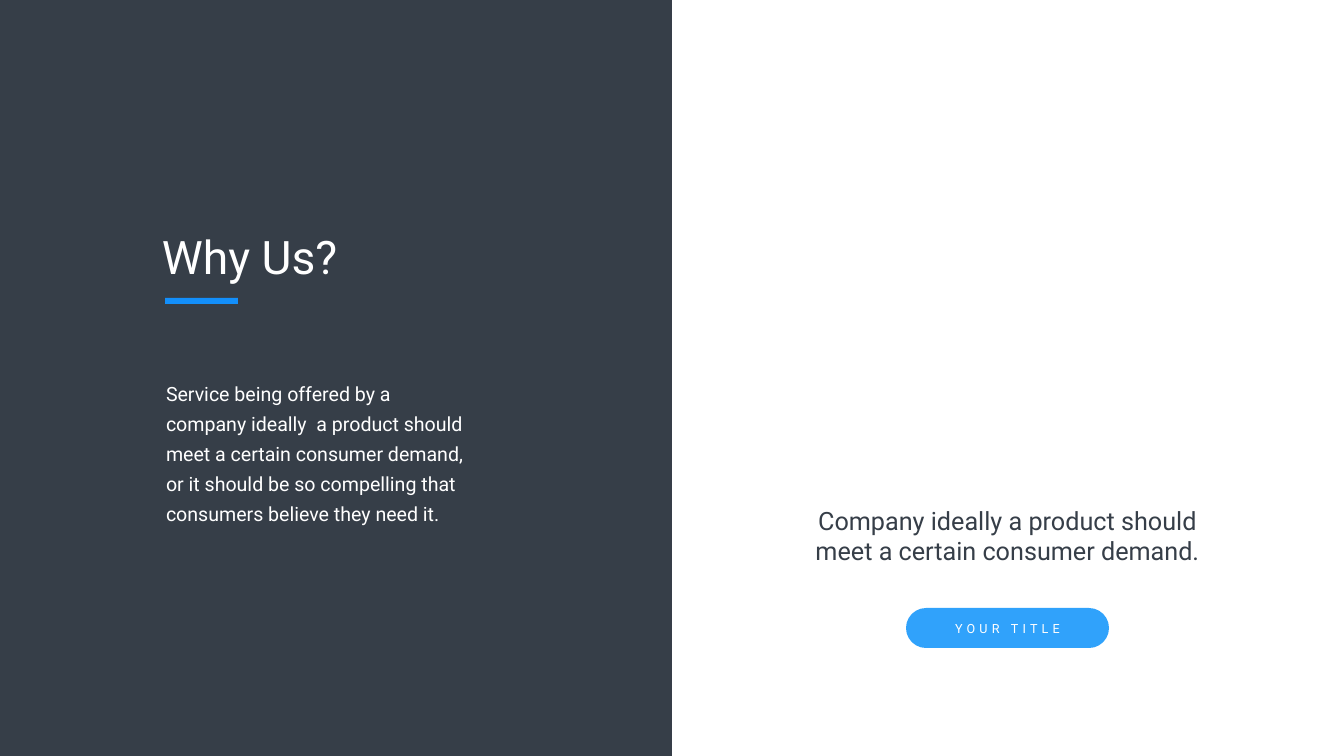
from pptx import Presentation
from pptx.dml.color import RGBColor
from pptx.enum.shapes import MSO_SHAPE
from pptx.enum.text import MSO_ANCHOR, PP_ALIGN
from pptx.util import Pt

RECT, PILL = MSO_SHAPE.RECTANGLE, MSO_SHAPE.ROUNDED_RECTANGLE
LEFT, MID = PP_ALIGN.LEFT, PP_ALIGN.CENTER
CENTRE = MSO_ANCHOR.MIDDLE
DARK = RGBColor(0x36, 0x3E, 0x48)
WHITE = RGBColor(0xFF, 0xFF, 0xFF)
BLUE = RGBColor(0x13, 0x8F, 0xFB)
SKY = RGBColor(0x30, 0xA2, 0xFB)
FONT = "Roboto"
SCALE = 18143
WIDTH, HEIGHT = 1344, 756


def place(box, left, top, width, height):
    """Turn a px area inside a box into EMU on the slide."""
    return [n * SCALE for n in (box[0] + left, box[1] + top, width, height)]


def add_block(slide, kind, area, fill):
    """Add a flat filled shape without an outline."""
    block = slide.shapes.add_shape(kind, *area)
    block.shadow.inherit = False
    block.fill.solid()
    block.fill.fore_color.rgb = fill
    block.line.fill.background()
    return block


def set_text(frame, text, size, color, align=LEFT):
    """Fill a text frame with one styled paragraph and return it."""
    frame.word_wrap = True
    frame.text = text
    para = frame.paragraphs[0]
    para.alignment = align
    font = para.runs[0].font
    font.name, font.size = FONT, Pt(size)
    font.color.rgb = color
    return para


def add_intro(slide, box):
    """Build the dark panel with title, accent bar and body text."""
    add_block(slide, RECT, place(box, 0, 0, box[2], box[3]), DARK)
    body = slide.shapes.add_textbox(*place(box, 154, 369, 325, 161)).text_frame
    body.margin_left = body.margin_right = 12 * SCALE
    body.margin_top = body.margin_bottom = 6 * SCALE
    para = set_text(
        body,
        "Service being offered by a company ideally  a product should meet "
        "a certain consumer demand, or it should be so compelling that "
        "consumers believe they need it.",
        28, WHITE)
    para.line_spacing = Pt(43)
    title = slide.shapes.add_textbox(*place(box, 157, 226, 280, 61))
    set_text(title.text_frame, "Why Us?", 66, WHITE)
    add_block(slide, RECT, place(box, 165, 298, 73, 6), BLUE)


def add_offer(slide, box):
    """Build the white panel with its caption and button."""
    note = slide.shapes.add_textbox(*place(box, 129, 503, 413, 66))
    set_text(
        note.text_frame,
        "Company ideally a product should meet a certain consumer demand.",
        36, DARK, MID)
    button = add_block(slide, PILL, place(box, 234, 608, 203, 40), SKY)
    button.adjustments[0] = 0.5
    frame = button.text_frame
    frame.vertical_anchor = CENTRE
    para = set_text(frame, "YOUR TITLE", 18, WHITE, MID)
    para.runs[0].font._element.set("spc", "600")


def main():
    """Create the slide and save it."""
    deck = Presentation()
    deck.slide_width, deck.slide_height = WIDTH * SCALE, HEIGHT * SCALE
    slide = deck.slides.add_slide(deck.slide_layouts[6])
    half = WIDTH // 2
    add_intro(slide, (0, 0, half, HEIGHT))
    add_offer(slide, (half, 0, half, HEIGHT))
    deck.save("out.pptx")


if __name__ == "__main__":
    main()
